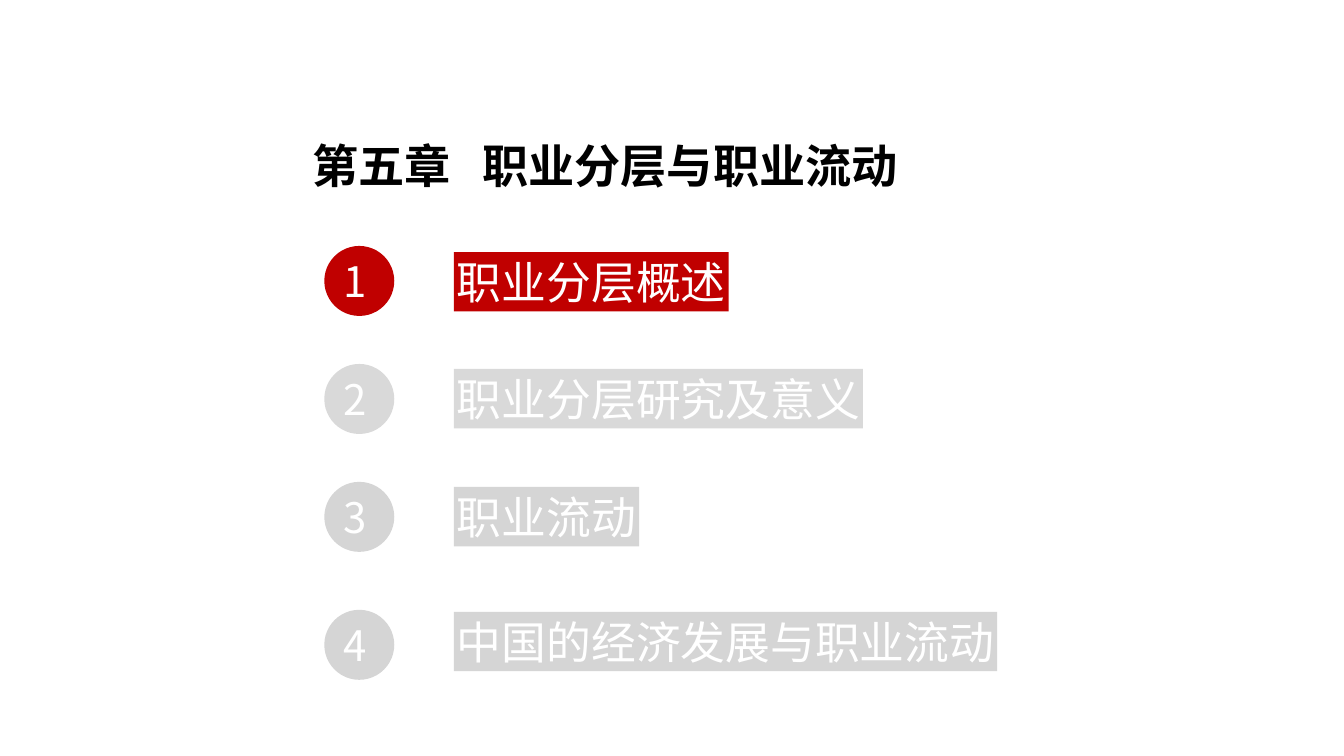
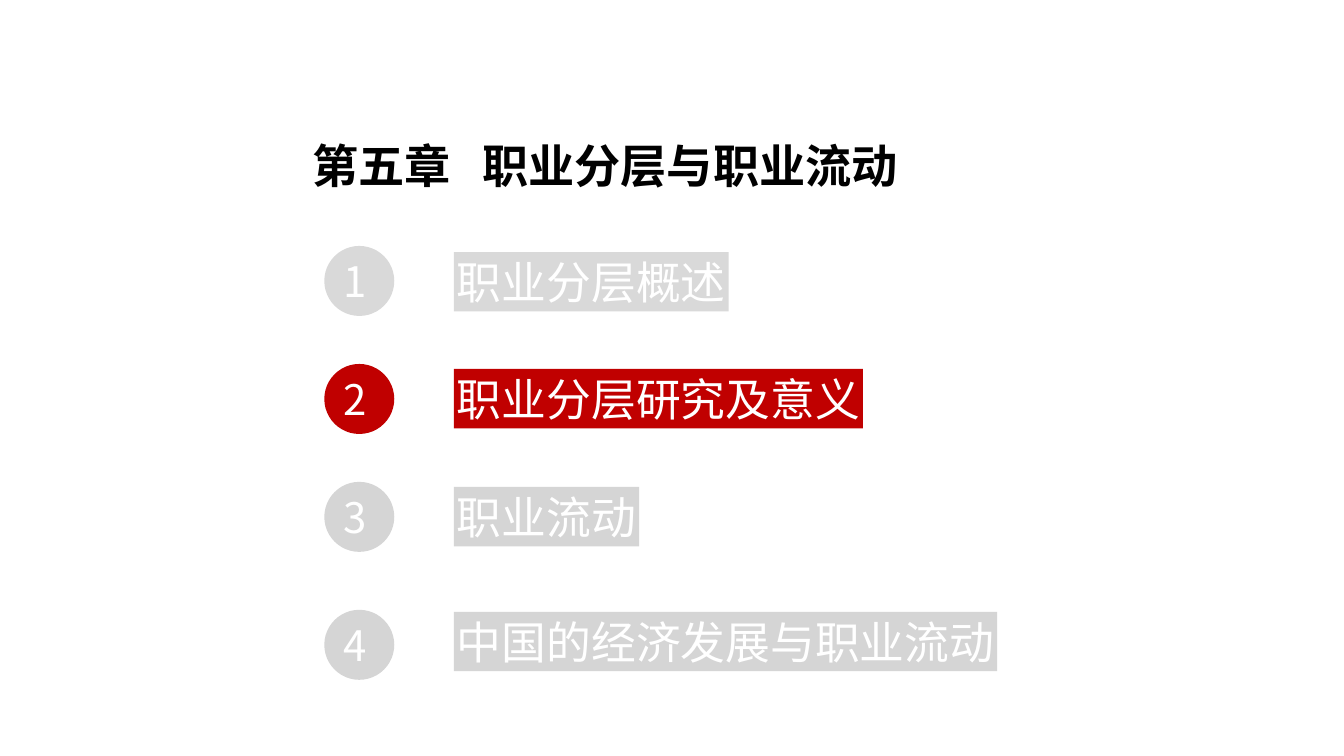
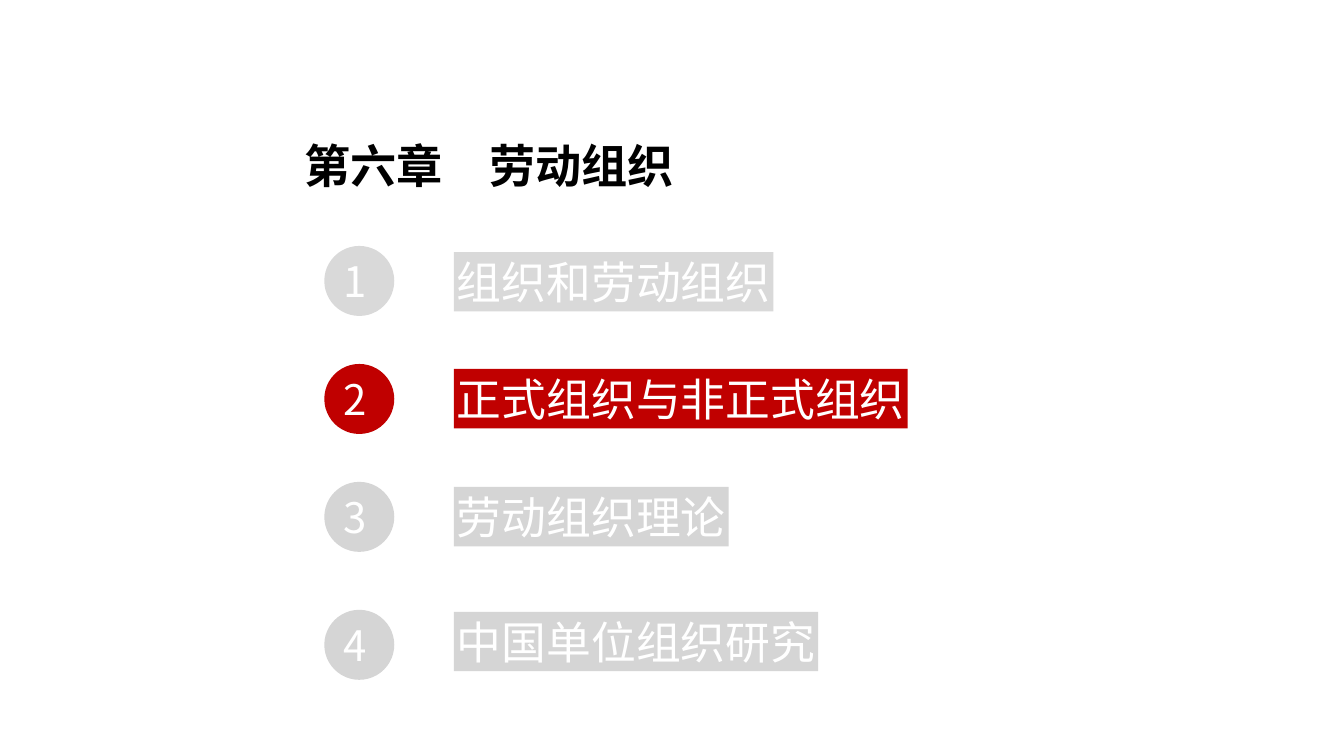
from dataclasses import dataclass

from lxml import etree
from pptx import Presentation
from pptx.dml.color import RGBColor
from pptx.enum.lang import MSO_LANGUAGE_ID
from pptx.enum.shapes import MSO_SHAPE
from pptx.enum.text import MSO_ANCHOR, MSO_AUTO_SIZE, PP_ALIGN
from pptx.oxml.ns import qn
from pptx.util import Pt

LEFT = PP_ALIGN.LEFT
MIDDLE = MSO_ANCHOR.MIDDLE
FIXED = MSO_AUTO_SIZE.NONE
OVAL = MSO_SHAPE.OVAL
RECT = MSO_SHAPE.RECTANGLE
CHINESE = MSO_LANGUAGE_ID.SIMPLIFIED_CHINESE


@dataclass(frozen=True)
class Theme:
    ink: RGBColor = RGBColor(0, 0, 0)
    white: RGBColor = RGBColor(255, 255, 255)
    red: RGBColor = RGBColor(0xC0, 0, 0)
    light: RGBColor = RGBColor(0xD9, 0xD9, 0xD9)
    grey: RGBColor = RGBColor(0xD5, 0xD5, 0xD5)
    head: str = "Noto Sans CJK SC"
    body: str = "Calibri"
    title: int = 33
    label: int = 32
    digit: int = 30
    inset: float = 2.2


theme = Theme()


def write(shape, text, font, size, color, bold=False, inset=theme.inset, start=theme.inset):
    frame = shape.text_frame
    frame.auto_size = FIXED
    frame.vertical_anchor = MIDDLE
    frame.margin_left = Pt(start)
    frame.margin_top = frame.margin_right = frame.margin_bottom = Pt(inset)
    para = frame.paragraphs[0]
    para.alignment = LEFT
    run = para.add_run()
    run.text = text
    run.font.name = font
    run.font.size = Pt(size)
    run.font.bold = bold
    run.font.color.rgb = color
    run.font.language_id = CHINESE
    latin = run.font._element.find(qn("a:latin"))
    asian = etree.Element(qn("a:ea"), typeface=font)
    latin.addnext(asian)
    return frame


def block(slide, kind, left, top, width, height, color):
    shape = slide.shapes.add_shape(kind, Pt(left), Pt(top), Pt(width), Pt(height))
    shape.shadow.inherit = False
    shape.fill.solid()
    shape.fill.fore_color.rgb = color
    shape.line.fill.background()
    return shape


five = ("第五章", "职业分层与职业流动", 221, 121.4,
        ["职业分层概述", "职业分层研究及意义", "职业流动", "中国的经济发展与职业流动"])
six = ("第六章", "劳动组织", 215.3, 132,
       ["组织和劳动组织", "正式组织与非正式组织", "劳动组织理论", "中国单位组织研究"])
pages = [(five, 1), (five, 2), (six, 2)]
rows = [(175.7, 180, theme.light), (260, 263.5, theme.light),
        (344.2, 347.8, theme.grey), (435.6, 437, theme.grey)]

deck = Presentation()
deck.slide_width = Pt(960.5)
deck.slide_height = Pt(540)
layout = deck.slide_layouts[5]

for (part, name, left, stop, items), active in pages:
    slide = deck.slides.add_slide(layout)

    title = slide.shapes.title
    title.left, title.top = Pt(left), Pt(76.3)
    title.width = Pt(stop + len(name) * theme.title + 6)
    title.height = Pt(63.4)
    frame = write(title, f"{part}\t{name}", theme.head, theme.title, theme.ink, bold=True)
    frame.word_wrap = True
    para = frame.paragraphs[0]
    tabs = etree.SubElement(para._p.get_or_add_pPr(), qn("a:tabLst"))
    etree.SubElement(tabs, qn("a:tab"), pos=str(int(Pt(stop))), algn="l")
    para.line_spacing = 1.5

    for index, (item, row) in enumerate(zip(items, rows), 1):
        high, low, color = row
        if index == active:
            color = theme.red
        width = len(item) * theme.label + 2 * theme.inset
        label = block(slide, RECT, 324.3, low, width, 42.5, color)
        write(label, item, theme.body, theme.label, theme.white).word_wrap = False
        disc = block(slide, OVAL, 231.8, high, 50, 50, color)
        write(disc, str(index), theme.head, theme.digit, theme.white, inset=0, start=6.7)

deck.save("out.pptx")
